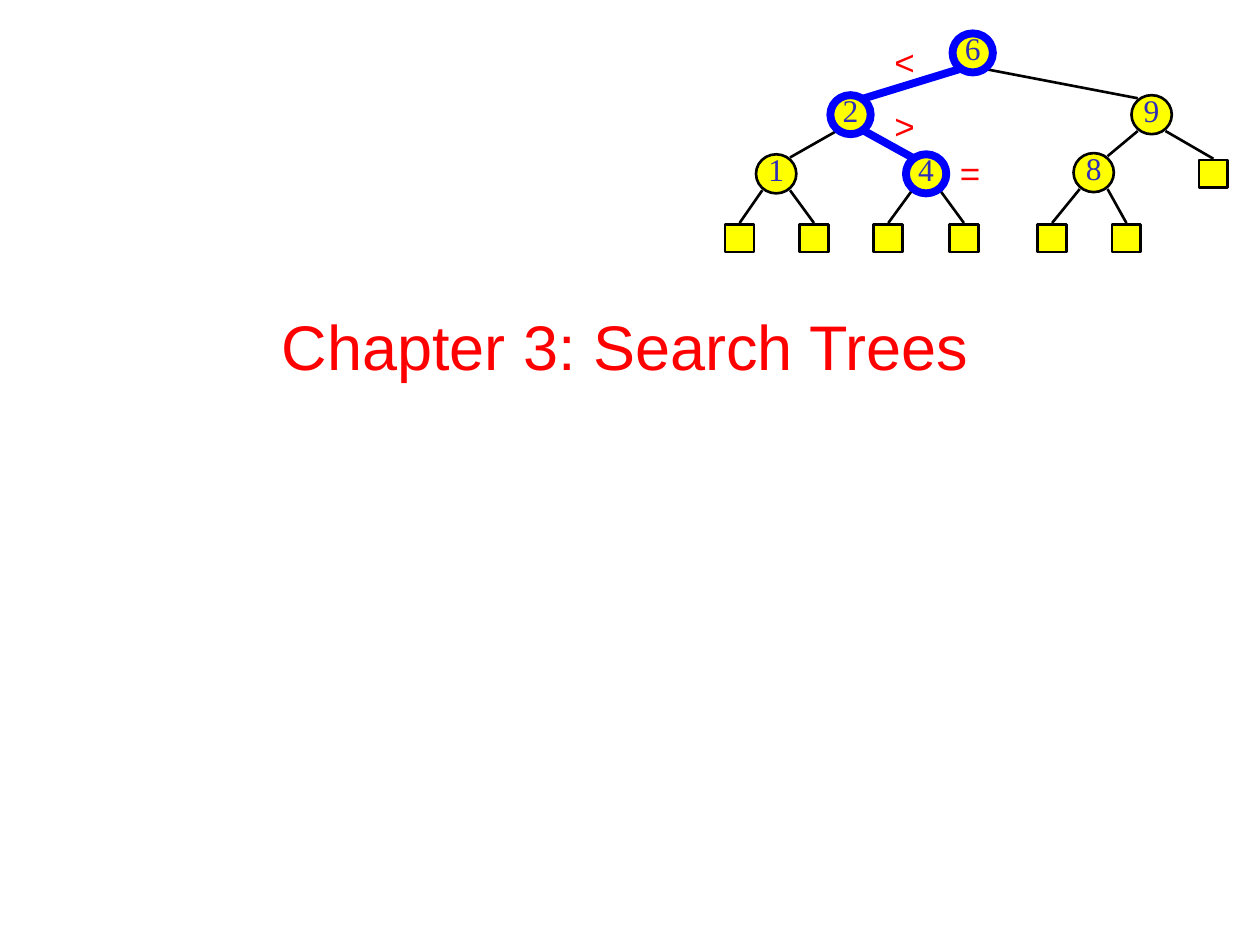
from lxml import etree
from pptx import Presentation
from pptx.dml.color import RGBColor
from pptx.enum.shapes import MSO_CONNECTOR, MSO_SHAPE
from pptx.enum.text import MSO_ANCHOR, PP_ALIGN
from pptx.oxml.ns import qn
from pptx.util import Inches, Pt

ELLIPSE, RECTANGLE = MSO_SHAPE.OVAL, MSO_SHAPE.RECTANGLE
STRAIGHT = MSO_CONNECTOR.STRAIGHT
MIDDLE, TOP = MSO_ANCHOR.MIDDLE, MSO_ANCHOR.TOP
CENTER, LEFT = PP_ALIGN.CENTER, PP_ALIGN.LEFT

RED = RGBColor(0xFF, 0x00, 0x00)
BLUE = RGBColor(0x00, 0x00, 0xFF)
INDIGO = RGBColor(0x2D, 0x2D, 0xB9)
YELLOW = RGBColor(0xFF, 0xFF, 0x00)
BLACK = RGBColor(0x00, 0x00, 0x00)

TITLE = "Chapter 3: Search Trees"
NODES = {
    "6": (7.72, 0.42),
    "9": (9.14, 0.91),
    "2": (6.75, 0.91),
    "4": (7.35, 1.38),
    "1": (6.16, 1.38),
    "8": (8.68, 1.37),
}
EDGES = [("6", "2"), ("6", "9"), ("2", "1"), ("2", "4"), ("9", "8")]
LEAVES = [
    ("1", 5.87, 1.89), ("1", 6.46, 1.89),
    ("4", 7.05, 1.89), ("4", 7.65, 1.89),
    ("8", 8.35, 1.89), ("8", 8.94, 1.89),
    ("9", 9.63, 1.38),
]
SEARCH_PATH = ["6", "2", "4"]
COMPARISONS = [("<", 7, 0.3), (">", 7, 0.81), ("=", 7.52, 1.18)]

NODE_SIZE = (0.32, 0.31)
LEAF_SIZE = (0.23, 0.22)
JOIN_X, JOIN_Y = 0.11, 0.13
LEAF_JOIN = 0.12


def write(shape, text, size, font, color, align, anchor):
    frame = shape.text_frame
    frame.vertical_anchor = anchor
    paragraph = frame.paragraphs[0]
    paragraph.alignment = align
    run = paragraph.add_run()
    run.text = text
    run.font.size = Pt(size)
    run.font.name = font
    run.font.color.rgb = color
    return paragraph


def space(paragraph):
    paragraph.line_spacing = 0.93
    paragraph.space_before = Pt(5)


def set_line(shape, on_path):
    shape.line.color.rgb = BLUE if on_path else BLACK
    shape.line.width = Pt(4.5 if on_path else 1.5)


def add_symbol(slide, kind, center, size, on_path=False):
    (x, y), (width, height) = center, size
    shape = slide.shapes.add_shape(
        kind, Inches(x - width / 2), Inches(y - height / 2), Inches(width), Inches(height))
    shape.shadow.inherit = False
    shape.fill.solid()
    shape.fill.fore_color.rgb = YELLOW
    set_line(shape, on_path)
    return shape


def add_edge(slide, parent, end, on_path=False):
    x, y = NODES[parent]
    side = 1 if end[0] > x else -1
    connector = slide.shapes.add_connector(
        STRAIGHT, Inches(x + side * JOIN_X), Inches(y + JOIN_Y), Inches(end[0]), Inches(end[1]))
    set_line(connector, on_path)
    etree.SubElement(connector._element.spPr, qn("a:effectLst"))


def add_title(slide):
    box = slide.shapes.add_textbox(Inches(0.5), Inches(0.75), Inches(8.92), Inches(2.83))
    box.text_frame.word_wrap = True
    box.text_frame.margin_top = Inches(1.2)
    write(box, TITLE, 36, "Arial", RED, CENTER, MIDDLE)


def add_tree(slide):
    for parent, child in EDGES:
        x, y = NODES[child]
        side = 1 if NODES[parent][0] > x else -1
        on_path = parent in SEARCH_PATH and child in SEARCH_PATH
        add_edge(slide, parent, (x + side * JOIN_X, y - JOIN_Y), on_path)
    for parent, x, y in LEAVES:
        add_edge(slide, parent, (x, y - LEAF_JOIN))
        add_symbol(slide, RECTANGLE, (x, y), LEAF_SIZE)
    for key, center in NODES.items():
        node = add_symbol(slide, ELLIPSE, center, NODE_SIZE, key in SEARCH_PATH)
        frame = node.text_frame
        frame.word_wrap = False
        frame.margin_left = frame.margin_right = frame.margin_top = 0
        frame.margin_bottom = Inches(0.05)
        space(write(node, key, 18, "Times New Roman", INDIGO, CENTER, MIDDLE))


def add_comparisons(slide):
    for sign, left, top in COMPARISONS:
        box = slide.shapes.add_textbox(Inches(left), Inches(top), Inches(0.33), Inches(0.73))
        box.text_frame.word_wrap = True
        space(write(box, sign, 20, "Arial", RED, LEFT, TOP))


def main():
    presentation = Presentation()
    presentation.slide_width, presentation.slide_height = Inches(10), Inches(7.5)
    slide = presentation.slides.add_slide(presentation.slide_layouts[6])
    add_title(slide)
    add_tree(slide)
    add_comparisons(slide)
    presentation.save("out.pptx")


if __name__ == "__main__":
    main()
